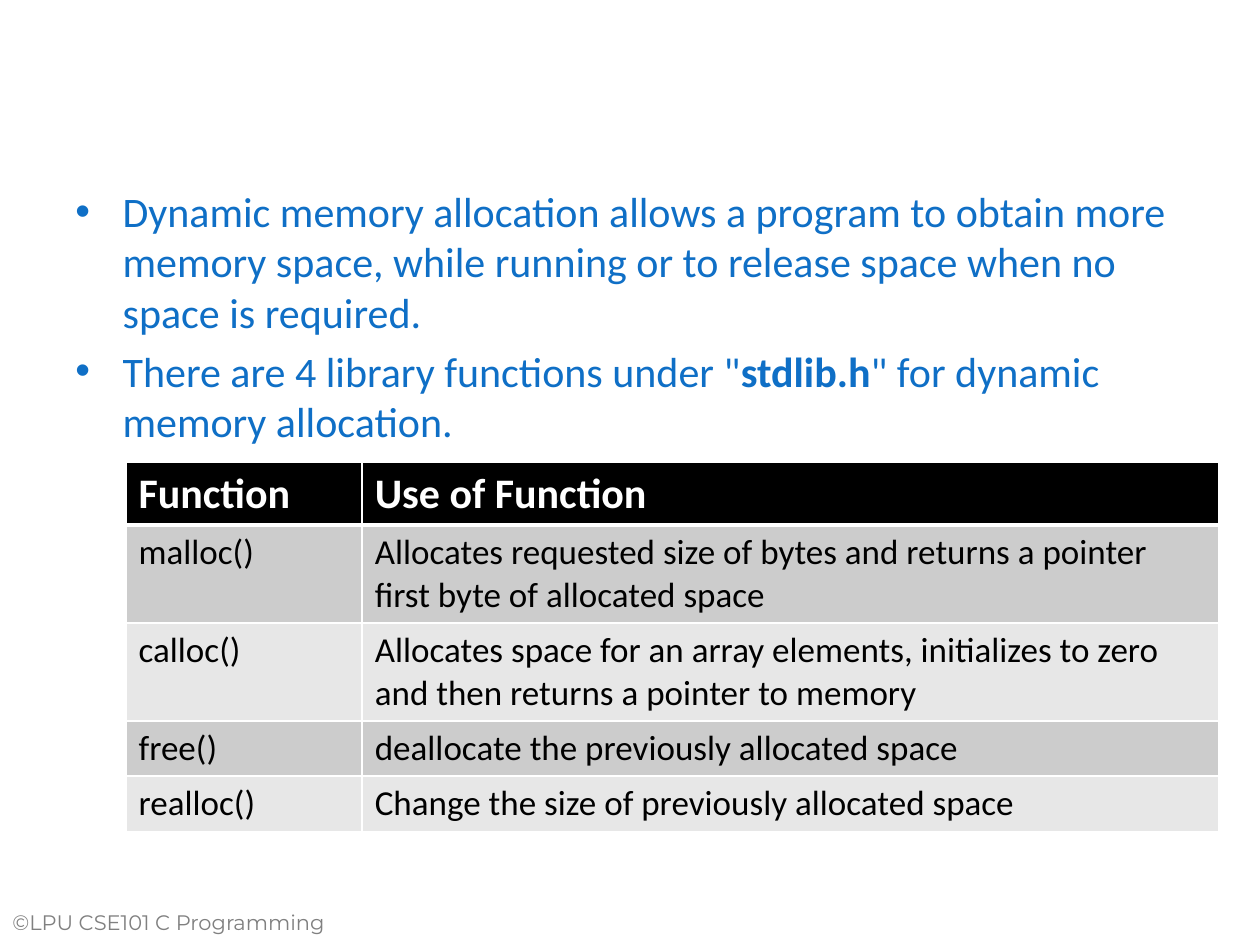
from typing import NamedTuple

from lxml.etree import SubElement
from pptx import Presentation
from pptx.dml.color import RGBColor
from pptx.enum.text import MSO_ANCHOR as Anchor
from pptx.oxml.ns import qn
from pptx.util import Pt

WHITE, BLACK, BLUE, GRAY = "FFFFFF", "000000", "0F6FC6", "808080"
BANDS = ("CCCCCC", "E7E7E7")
BULLET_INDENT = Pt(27)


class TextStyle(NamedTuple):
    size: float
    color: str
    font: str = "Calibri"
    bold: bool = False


class Run(NamedTuple):
    text: str
    bold: bool = False


class TableRow(NamedTuple):
    function: str
    use: str
    height: float


FOOTER_STYLE = TextStyle(12, GRAY, "Montserrat")
BODY_STYLE = TextStyle(24, BLUE)
HEADER_STYLE = TextStyle(24, WHITE, bold=True)
CELL_STYLE = TextStyle(20, BLACK)

BULLETS = [
    [Run("Dynamic memory allocation allows a program to obtain more memory space, "
         "while running or to release space when no space is required.")],
    [Run('There are 4 library functions under "'), Run("stdlib.h", True),
     Run('" for dynamic memory allocation.')],
]
ROWS = [
    TableRow("Function", "Use of Function", 36),
    TableRow("malloc()", "Allocates requested size of bytes and returns a pointer "
             "first byte of allocated space", 56),
    TableRow("calloc()", "Allocates space for an array elements, initializes to zero "
             "and then returns a pointer to memory", 56),
    TableRow("free()", "deallocate the previously allocated space", 31.6),
    TableRow("realloc()", "Change the size of previously allocated space", 31.6),
]
COLUMN_WIDTHS = (135, 489.5)


def rgb(value: str) -> RGBColor:
    return RGBColor.from_string(value)


def style_paragraph(paragraph, style: TextStyle) -> None:
    font = paragraph.font
    font.name, font.size, font.bold = style.font, Pt(style.size), style.bold
    font.color.rgb = rgb(style.color)


def add_text_frame(slide, left: float, top: float, width: float, height: float):
    frame = slide.shapes.add_textbox(Pt(left), Pt(top), Pt(width), Pt(height)).text_frame
    frame.word_wrap = True
    return frame


def add_bullets(slide) -> None:
    frame = add_text_frame(slide, 36, 102.5, 648, 368)
    for index, runs in enumerate(BULLETS):
        paragraph = frame.add_paragraph() if index else frame.paragraphs[0]
        properties = paragraph._p.get_or_add_pPr()
        properties.set("marL", str(BULLET_INDENT))
        properties.set("indent", str(-BULLET_INDENT))
        SubElement(properties, qn("a:buFont"), typeface="Arial")
        SubElement(properties, qn("a:buChar"), char="•")
        if index:
            paragraph.space_before = Pt(4.8)
        style_paragraph(paragraph, BODY_STYLE)
        for text, bold in runs:
            run = paragraph.add_run()
            run.text = text
            if bold:
                run.font.bold = True


def add_borders(cell, bottom: float, top: float) -> None:
    """Draw white cell borders, with widths in points."""
    properties = cell._tc.get_or_add_tcPr()
    for side, width in (("L", 1), ("R", 1), ("T", top), ("B", bottom)):
        line = SubElement(properties, qn(f"a:ln{side}"), w=str(Pt(width)))
        fill = SubElement(line, qn("a:solidFill"))
        SubElement(fill, qn("a:srgbClr"), val=WHITE)


def add_function_table(slide) -> None:
    height = sum(row.height for row in ROWS)
    table = slide.shapes.add_table(len(ROWS), len(COLUMN_WIDTHS), Pt(72), Pt(264),
                                   Pt(sum(COLUMN_WIDTHS)), Pt(height)).table
    for column, width in zip(table.columns, COLUMN_WIDTHS):
        column.width = Pt(width)
    for index, row in enumerate(ROWS):
        is_header = index == 0
        table.rows[index].height = Pt(row.height)
        for cell, text in zip(table.rows[index].cells, (row.function, row.use)):
            add_borders(cell, bottom=3 if is_header else 1, top=3 if index == 1 else 1)
            cell.fill.solid()
            cell.fill.fore_color.rgb = rgb(BLACK if is_header else BANDS[(index - 1) % 2])
            cell.vertical_anchor = Anchor.MIDDLE if is_header else Anchor.TOP
            cell.text = text
            style_paragraph(cell.text_frame.paragraphs[0],
                            HEADER_STYLE if is_header else CELL_STYLE)


def add_footer(slide) -> None:
    paragraph = add_text_frame(slide, 0, 516, 216, 30).paragraphs[0]
    paragraph.text = "©LPU CSE101 C Programming"
    style_paragraph(paragraph, FOOTER_STYLE)


def main() -> None:
    presentation = Presentation()
    presentation.slide_width, presentation.slide_height = Pt(720), Pt(540)
    slide = presentation.slides.add_slide(presentation.slide_layouts[6])
    add_footer(slide)
    add_bullets(slide)
    add_function_table(slide)
    presentation.save("out.pptx")


if __name__ == "__main__":
    main()
